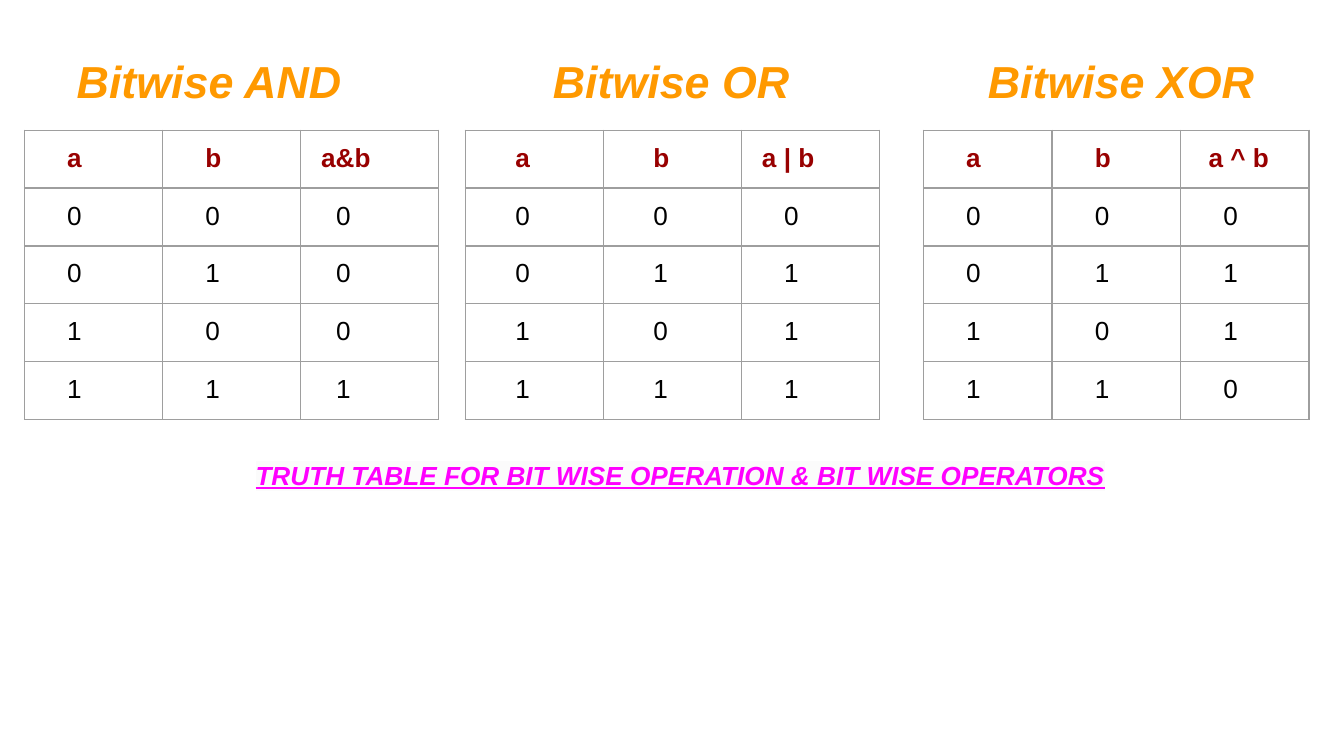
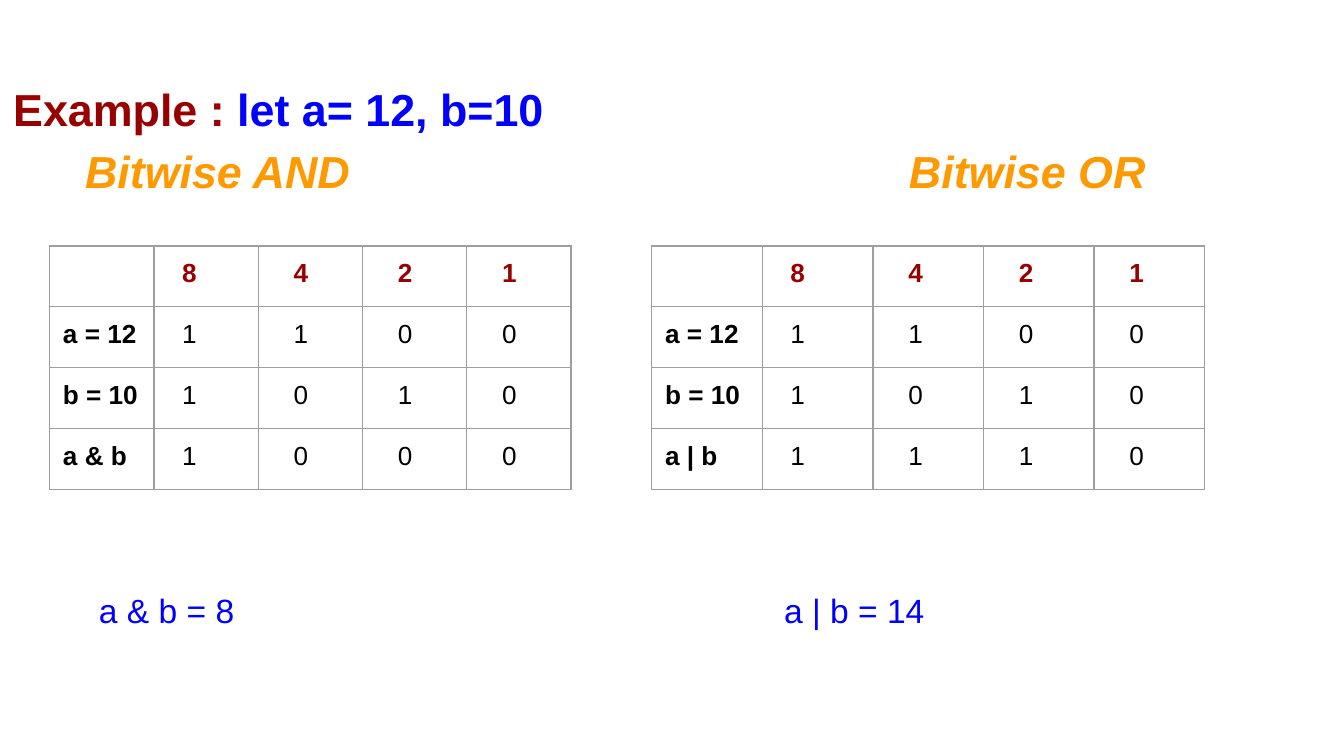
from itertools import product

from lxml.etree import SubElement
from pptx import Presentation
from pptx.dml.color import RGBColor
from pptx.enum.text import PP_ALIGN as Align
from pptx.oxml import parse_xml
from pptx.oxml.ns import nsdecls, qn
from pptx.util import Cm, Pt

FONT = "Arial"
ORANGE = RGBColor(0xFF, 0x99, 0x00)
MAROON = RGBColor(0x98, 0x00, 0x00)
MAGENTA = RGBColor(0xFF, 0x00, 0xFF)
BLUE = RGBColor(0x00, 0x00, 0xFF)
BLACK = RGBColor(0x00, 0x00, 0x00)
GRID = RGBColor(0x9E, 0x9E, 0x9E)
CAPTION_BACK = RGBColor(0xFB, 0xFB, 0xFB)
INSET = 0.25
STEP = 0.14

OPERATORS = {
    "AND": lambda a, b: a & b,
    "OR": lambda a, b: a | b,
    "XOR": lambda a, b: a ^ b,
}


def add_run(paragraph, text, size, color, bold=False, italic=False):
    run = paragraph.add_run()
    run.text = text
    font = run.font
    font.name, font.size = FONT, Pt(size)
    font.bold, font.italic = bold, italic
    font.color.rgb = color
    return run


def highlight(run, color):
    mark = parse_xml(
        f'<a:highlight {nsdecls("a")}><a:srgbClr val="{color}"/></a:highlight>'
    )
    run._r.get_or_add_rPr().find(qn("a:solidFill")).addnext(mark)


def add_body(slide, top, height):
    shape = slide.shapes.add_textbox(0, Cm(top), Cm(25.4), Cm(height))
    frame = shape.text_frame
    frame.word_wrap = True
    frame.margin_left = frame.margin_right = Cm(INSET)
    frame.margin_top = frame.margin_bottom = Cm(INSET)
    return frame


def format_paragraph(paragraph, before=0, after=16, spacing=1.15):
    paragraph.line_spacing = spacing
    paragraph.space_before = Pt(before)
    paragraph.space_after = Pt(after)


def add_tabbed_line(paragraph, texts, stops, size, color, emphasis=False):
    tab_list = SubElement(paragraph._p.get_or_add_pPr(), qn("a:tabLst"))
    for stop in stops:
        SubElement(tab_list, qn("a:tab"), pos=str(Cm(stop)), algn="l")
    for text in texts:
        add_run(paragraph, "\t" + text, size, color, emphasis, emphasis)


def draw_borders(cell):
    properties = cell._tc.get_or_add_tcPr()
    for index, side in enumerate(("lnL", "lnR", "lnT", "lnB")):
        properties.insert(index, parse_xml(
            f'<a:{side} {nsdecls("a")} w="{Pt(0.75)}"><a:solidFill>'
            f'<a:srgbClr val="{GRID}"/></a:solidFill></a:{side}>'
        ))


def fill_cell(cell, text, indent, color, bold):
    cell.fill.background()
    draw_borders(cell)
    cell.margin_left = Cm(INSET + STEP * indent)
    cell.margin_right = cell.margin_top = cell.margin_bottom = Cm(INSET)
    paragraph = cell.text_frame.paragraphs[0]
    if text:
        add_run(paragraph, text, 14, color, bold)
    else:
        SubElement(paragraph._p, qn("a:endParaRPr"), sz="1400")


def add_bit_table(slide, left, top, column, row_height, rows,
                  head_indents, body_indents, row_labels=False):
    columns = len(rows[0])
    frame = slide.shapes.add_table(
        len(rows), columns, Cm(left), Cm(top),
        Cm(column * columns), Cm(row_height * len(rows)),
    )
    table = frame.table
    table.first_row = table.horz_banding = False
    for r, row in enumerate(rows):
        indents = body_indents if r else head_indents
        for c, value in enumerate(row):
            bold = r == 0 or (row_labels and c == 0)
            color = BLACK if r else MAROON
            fill_cell(table.cell(r, c), str(value), indents[c], color, bold)


def truth_rows(name, expression):
    operate = OPERATORS[name]
    pairs = product((0, 1), repeat=2)
    return [("a", "b", expression)] + [(a, b, operate(a, b)) for a, b in pairs]


def example_rows(name, expression, a, b):
    values = {f"a = {a}": a, f"b = {b}": b, expression: OPERATORS[name](a, b)}
    body = [(label, *f"{value:04b}") for label, value in values.items()]
    return [("", 8, 4, 2, 1)] + body


def add_truth_slide(slide):
    frame = add_body(slide, 0.61, 12.06)
    headings = frame.paragraphs[0]
    format_paragraph(headings)
    add_tabbed_line(headings, [f"Bitwise {name}" for name in OPERATORS],
                    (1.2, 10.2, 18.42), 24, ORANGE, True)

    caption = frame.add_paragraph()
    format_paragraph(caption, before=170)
    caption.alignment = Align.CENTER
    caption._p.get_or_add_pPr().set("marL", str(Cm(0.32)))
    run = add_run(caption, "TRUTH TABLE FOR BIT WISE OPERATION & BIT WISE OPERATORS",
                  14, MAGENTA, True, True)
    run.font.underline = True
    highlight(run, CAPTION_BACK)

    tables = (
        ("AND", "a&b", 0.46, 2.61, (4, 4, 1), (4, 4, 3)),
        ("OR", "a | b", 8.79, 2.61, (5, 5, 1), (5, 5, 4)),
        ("XOR", "a ^ b", 17.45, 2.43, (4, 4, 2), (4, 4, 4)),
    )
    for name, expression, left, column, head, body in tables:
        add_bit_table(slide, left, 2.46, column, 1.06,
                      truth_rows(name, expression), head, body)


def add_example_slide(slide):
    a, b = 12, 10
    frame = add_body(slide, 0.79, 11.91)
    title = frame.paragraphs[0]
    format_paragraph(title, after=0, spacing=1.5)
    title.alignment = Align.JUSTIFY
    add_run(title, "Example :", 24, MAROON, True)
    add_run(title, f" let a= {a}, b={b}", 24, BLUE, True)

    headings = frame.add_paragraph()
    format_paragraph(headings)
    add_tabbed_line(headings, ("Bitwise AND", "Bitwise OR"),
                    (1.36, 16.93), 24, ORANGE, True)

    results = frame.add_paragraph()
    format_paragraph(results, before=191)
    add_tabbed_line(results, (f"a & b = {a & b}", f"a | b = {a | b}"),
                    (1.62, 14.57), 18, BLUE)

    indents = (0, 2, 3, 3, 3)
    for name, expression, left, column in (
        ("AND", "a & b", 0.94, 1.97),
        ("OR", "a | b", 12.32, 2.09),
    ):
        add_bit_table(slide, left, 4.65, column, 1.15,
                      example_rows(name, expression, a, b),
                      indents, indents, row_labels=True)


def main():
    presentation = Presentation()
    presentation.slide_width, presentation.slide_height = Cm(25.4), Cm(14.29)
    blank = presentation.slide_layouts[6]
    for build in (add_truth_slide, add_example_slide):
        build(presentation.slides.add_slide(blank))
    presentation.save("out.pptx")


if __name__ == "__main__":
    main()
